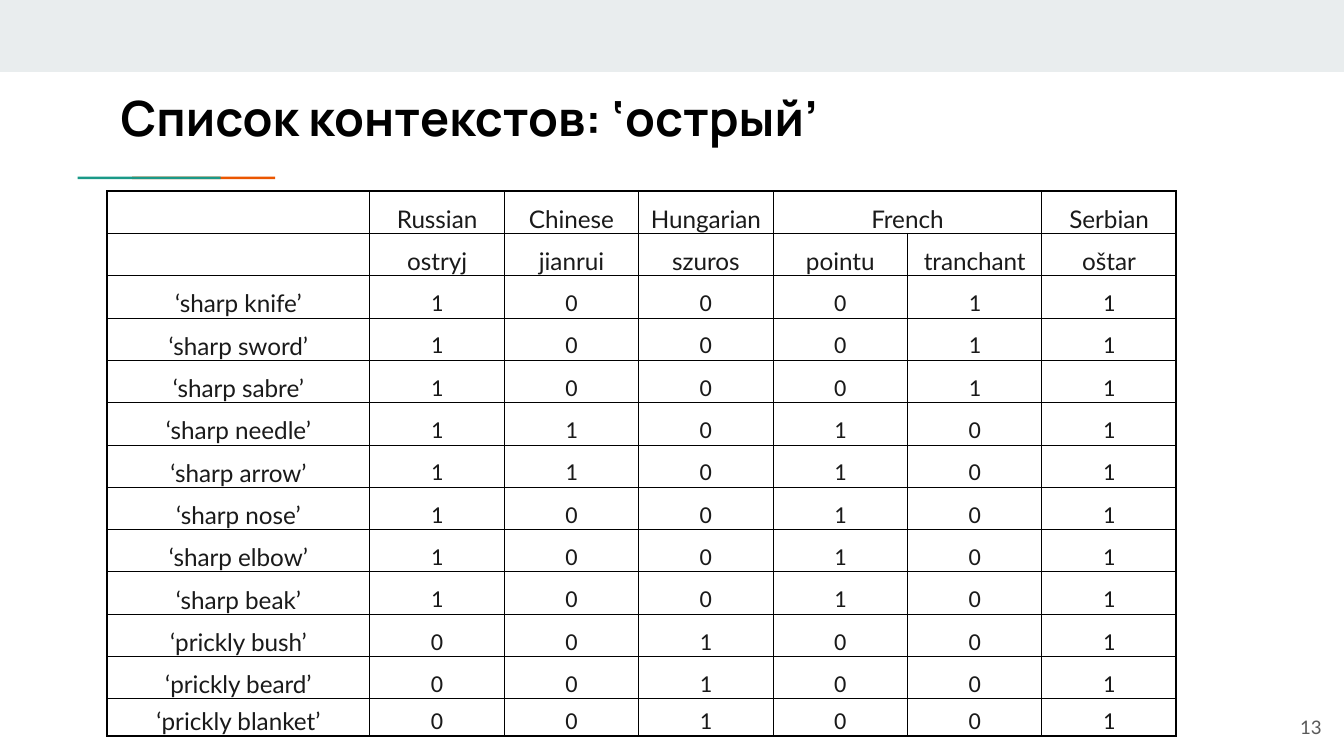
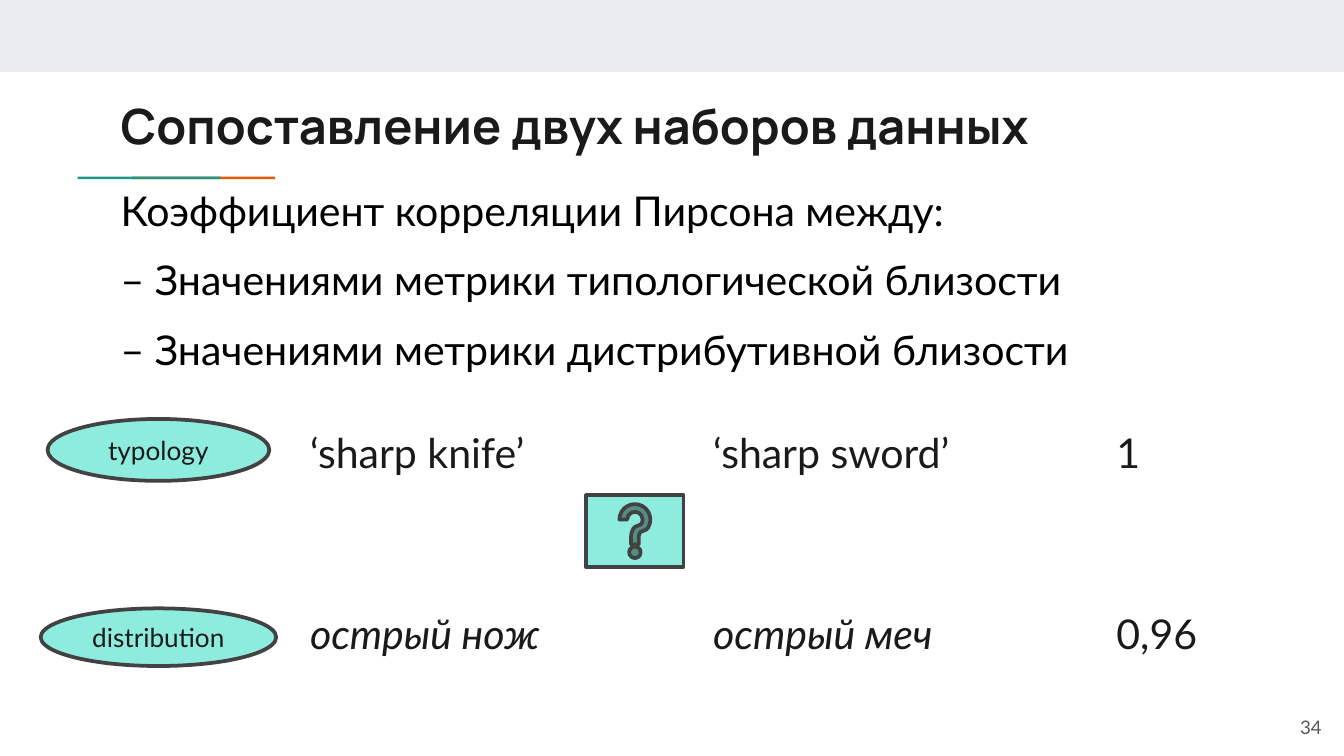
import pptx
import pptx.util
import pptx.dml.color
import pptx.enum.shapes
import pptx.enum.text
import pptx.oxml.ns
import lxml.etree

Cm, Pt = pptx.util.Cm, pptx.util.Pt
SHAPE = pptx.enum.shapes.MSO_SHAPE
ALIGN = pptx.enum.text.PP_ALIGN
ANCHOR = pptx.enum.text.MSO_ANCHOR

COLORS = {"band": "E9EDEE", "orange": "EB5600", "green": "1A9988", "black": "000000",
          "ink": "1A1A1A", "grey": "595959", "mint": "8EECDF", "outline": "424242"}

CONTEXTS_TITLE = "Список контекстов: ‘острый’"
LANGUAGES = ["", "Russian", "Chinese", "Hungarian", "French", "", "Serbian"]
LEXEMES = ["", "ostryj", "jianrui", "szuros", "pointu", "tranchant", "oštar"]
CONTEXTS = [
    ("‘sharp knife’", "100011"),
    ("‘sharp sword’", "100011"),
    ("‘sharp sabre’", "100011"),
    ("‘sharp needle’", "110101"),
    ("‘sharp arrow’", "110101"),
    ("‘sharp nose’", "100101"),
    ("‘sharp elbow’", "100101"),
    ("‘sharp beak’", "100101"),
    ("‘prickly bush’", "001001"),
    ("‘prickly beard’", "001001"),
    ("‘prickly blanket’", "001001"),
]

COMPARISON_TITLE = "Сопоставление двух наборов данных"
CORRELATION = [
    ("Коэффициент корреляции Пирсона между:", 8),
    ("– Значениями метрики типологической близости", 7),
    ("– Значениями метрики дистрибутивной близости", 7),
]
DATASETS = [
    {"label": "typology", "oval": (0.9, 7.92, 4.19, 1.17), "top": 7.95,
     "pair": ["‘sharp knife’", "‘sharp sword’"], "score": "1", "italic": False},
    {"label": "distribution", "oval": (0.77, 11.5, 4.45, 1.09), "top": 11.38,
     "pair": ["острый нож", "острый меч"], "score": "0,96", "italic": True},
]
TAB_STOPS = [5.08, 7.62, 12.7, 15.24]


def color(name):
    return pptx.dml.color.RGBColor.from_string(COLORS[name])


def style(paragraph, size, ink, font="Lato", bold=False, italic=False, align=None):
    paragraph.alignment = align
    for run in paragraph.runs:
        run.font.name = font
        run.font.size = Pt(size)
        run.font.bold = bold
        run.font.italic = italic
        run.font.color.rgb = color(ink)


def add_text(slide, box, text, inset=0.25, anchor=ANCHOR.TOP):
    frame = slide.shapes.add_textbox(*map(Cm, box)).text_frame
    frame.word_wrap = True
    frame.vertical_anchor = anchor
    frame.margin_left = frame.margin_right = Cm(0.25)
    frame.margin_top = frame.margin_bottom = Cm(inset)
    frame.text = text
    return frame


def add_figure(slide, kind, box, fill, outline=None):
    figure = slide.shapes.add_shape(kind, *map(Cm, box))
    figure.shadow.inherit = False
    figure.fill.solid()
    figure.fill.fore_color.rgb = color(fill)
    if outline:
        figure.line.color.rgb = color(outline)
        figure.line.width = Pt(2)
    else:
        figure.line.fill.background()
    return figure


def start_slide(deck, title, title_top, title_ink, number):
    slide = deck.slides.add_slide(deck.slide_layouts[6])
    add_figure(slide, SHAPE.RECTANGLE, (0, 0, 25.4, 1.36), "band")
    for left, accent in ((2.5, "orange"), (1.47, "green")):
        add_figure(slide, SHAPE.RECTANGLE, (left, 3.34, 2.7, 0.05), accent)
    heading = add_text(slide, (2.03, title_top, 21.36, 1.5), title)
    style(heading.paragraphs[0], 26, title_ink, "Manrope", bold=True)
    page = add_text(slide, (23.71, 13.19, 1.52, 1.09), number, anchor=ANCHOR.MIDDLE)
    style(page.paragraphs[0], 10, "grey", align=ALIGN.RIGHT)
    return slide


def add_borders(cell, widths):
    properties = cell._tc.get_or_add_tcPr()
    for side, width in widths.items():
        line = lxml.etree.SubElement(properties, pptx.oxml.ns.qn("a:ln" + side), w=str(Pt(width)))
        fill = lxml.etree.SubElement(line, pptx.oxml.ns.qn("a:solidFill"))
        lxml.etree.SubElement(fill, pptx.oxml.ns.qn("a:srgbClr"), val=COLORS["black"])


def add_contexts_table(slide):
    rows = [LANGUAGES, LEXEMES] + [[context, *marks] for context, marks in CONTEXTS]
    widths = [4.97] + [2.54] * 6
    heights = [0.8] * (len(rows) - 1) + [0.7]
    table = slide.shapes.add_table(len(rows), len(widths), Cm(2.02), Cm(3.61),
                                   Cm(sum(widths)), Cm(sum(heights))).table
    table.first_row = table.horz_banding = False
    for column, width in zip(table.columns, widths):
        column.width = Cm(width)
    for row, height in zip(table.rows, heights):
        row.height = Cm(height)
    for r, words in enumerate(rows):
        for c, word in enumerate(words):
            cell = table.cell(r, c)
            cell.margin_left = cell.margin_right = cell.margin_top = Cm(0.02)
            cell.margin_bottom = 0
            cell.vertical_anchor = ANCHOR.BOTTOM
            add_borders(cell, {"L": 1 if c == 0 else 0.5,
                               "R": 1 if c == len(widths) - 1 else 0.5,
                               "T": 1 if r == 0 else 0.5,
                               "B": 1 if r == len(rows) - 1 else 0.5})
            cell.fill.background()
            paragraph = cell.text_frame.paragraphs[0]
            if word:
                paragraph.text = word
                style(paragraph, 13, "ink", "Calibri" if word.isdigit() else "Lato",
                      align=ALIGN.CENTER)
            else:
                lxml.etree.SubElement(paragraph._p, pptx.oxml.ns.qn("a:endParaRPr"), sz="1300")
    french = LANGUAGES.index("French")
    table.cell(0, french).merge(table.cell(0, french + 1))


def add_tab_stops(paragraph):
    stops = lxml.etree.SubElement(paragraph._p.get_or_add_pPr(), pptx.oxml.ns.qn("a:tabLst"))
    for stop in TAB_STOPS:
        lxml.etree.SubElement(stops, pptx.oxml.ns.qn("a:tab"), pos=str(Cm(stop)), algn="l")


def add_dataset(slide, dataset):
    pair = "\t\t".join(dataset["pair"]) + "\t\t"
    line = add_text(slide, (5.61, dataset["top"], 17.81, 1.19), pair, inset=0.13).paragraphs[0]
    line.add_run().text = dataset["score"]
    style(line, 22, "ink", italic=dataset["italic"])
    line.runs[-1].font.italic = False
    add_tab_stops(line)
    oval = add_figure(slide, SHAPE.OVAL, dataset["oval"], "mint", "outline")
    oval.text_frame.text = dataset["label"]
    oval.text_frame.vertical_anchor = ANCHOR.MIDDLE
    style(oval.text_frame.paragraphs[0], 14, "ink", align=ALIGN.CENTER)


def add_correlation(slide):
    body = add_text(slide, (2.03, 3.11, 21.36, 8.43), "\n".join(text for text, _ in CORRELATION))
    for paragraph, (_, space) in zip(body.paragraphs, CORRELATION):
        paragraph.line_spacing = 1.15
        paragraph.space_before = Pt(space)
        style(paragraph, 22, "black")


def main():
    deck = pptx.Presentation()
    deck.slide_width, deck.slide_height = Cm(25.4), Cm(14.29)

    contexts = start_slide(deck, CONTEXTS_TITLE, 1.42, "black", "13")
    add_contexts_table(contexts)

    comparison = start_slide(deck, COMPARISON_TITLE, 1.57, "ink", "34")
    add_correlation(comparison)
    for dataset in DATASETS:
        add_dataset(comparison, dataset)
    add_figure(comparison, SHAPE.ACTION_BUTTON_HELP, (11.08, 9.36, 1.84, 1.36), "mint", "outline")

    deck.save("out.pptx")


if __name__ == "__main__":
    main()
